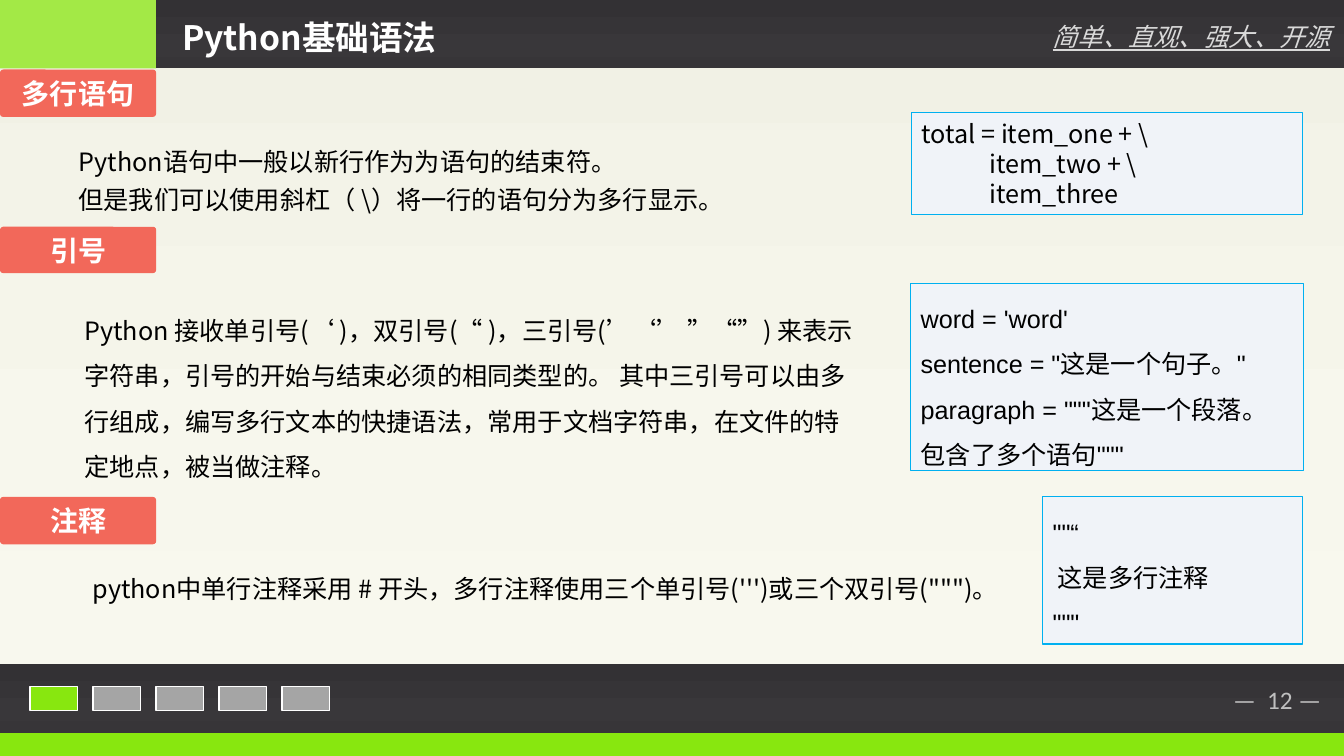
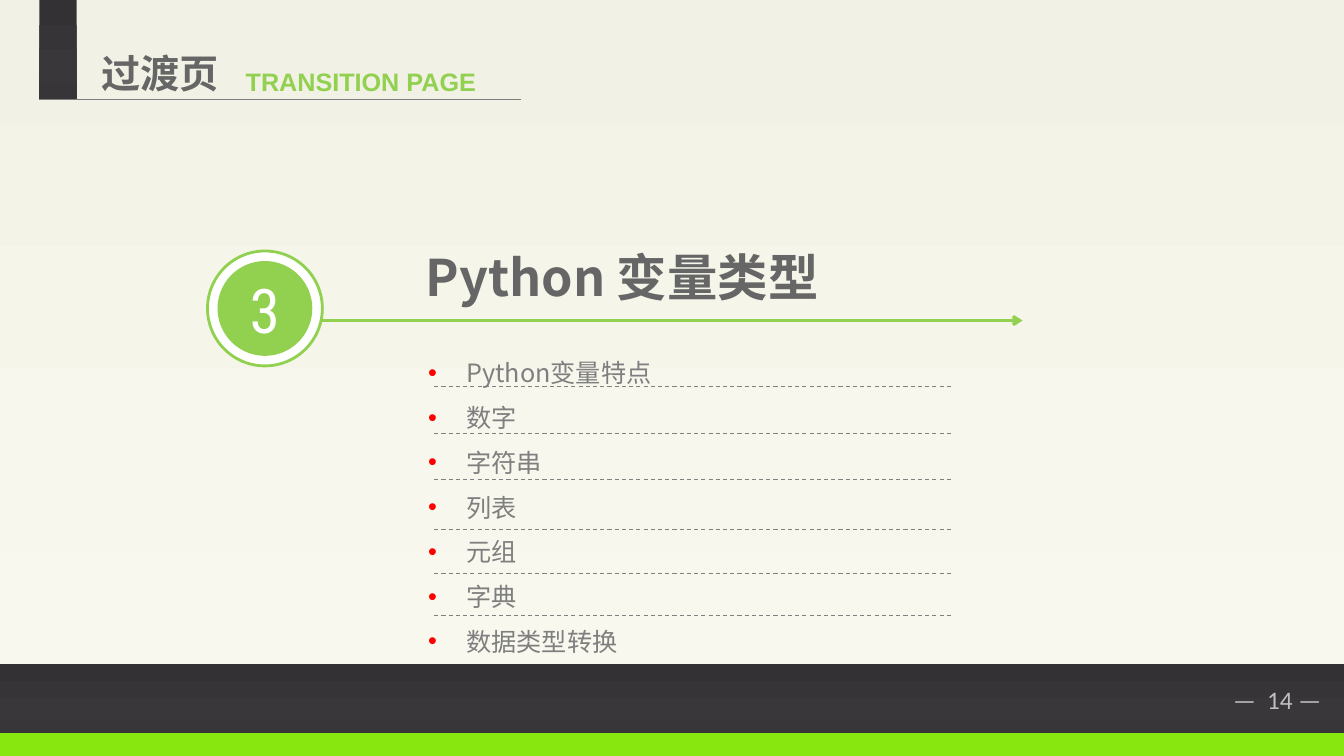
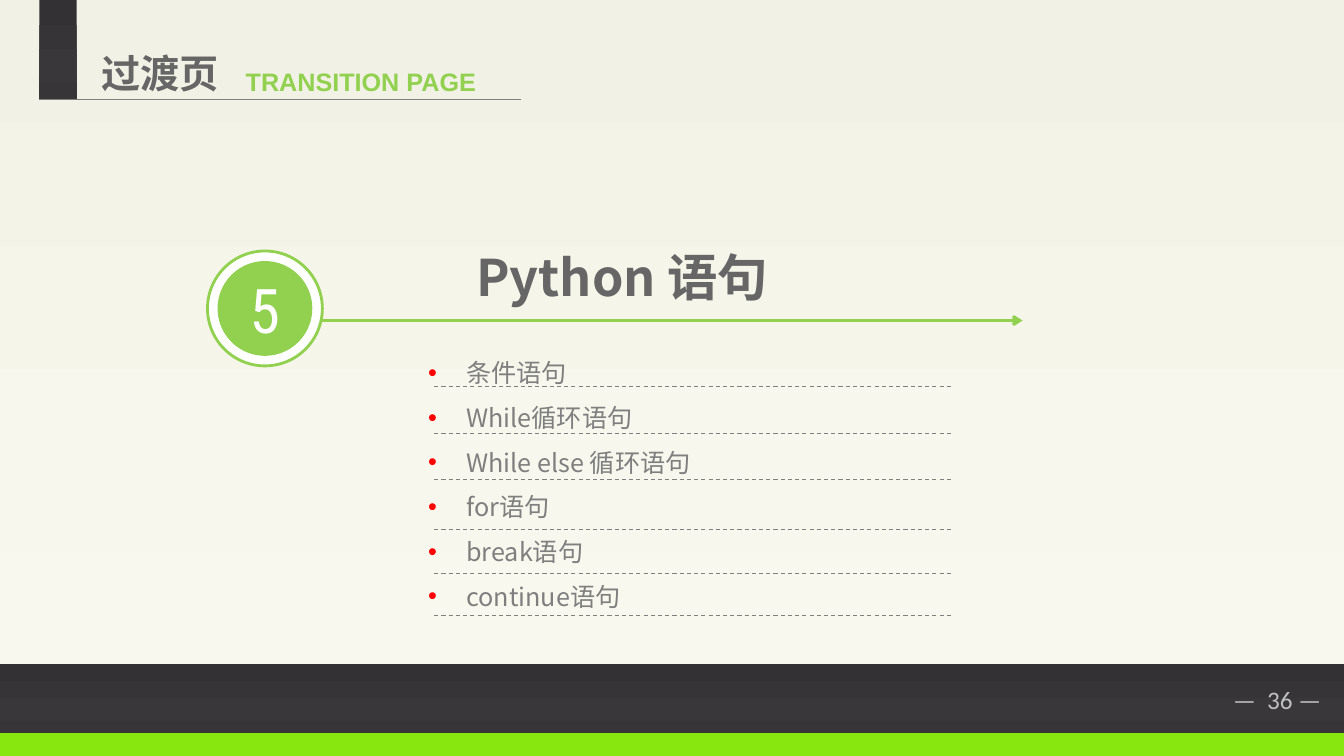
import copy
from dataclasses import dataclass

import pptx
import pptx.dml.color
import pptx.enum.dml
import pptx.enum.lang
import pptx.enum.shapes
import pptx.enum.text
import pptx.oxml
import pptx.oxml.ns
import pptx.util
from pptx.util import Inches

CJK = "Noto Sans CJK SC"
LIME, LEAF, CORAL = "88E70F", "92D050", "F2685A"
WHITE, BLACK, GREY = "FFFFFF", "000000", "666666"
CREAM = ((0, "F1F1E5"), (74, "F7F7ED"), (83, "F8F8EE"), (100, "F9F9EF"))
DARK = ((0, "333134"), (74, "39373A"), (83, "373538"), (100, "363436"))
WIDTH, HEIGHT = 13.34, 7.5
RECT = pptx.enum.shapes.MSO_SHAPE.RECTANGLE
OVAL = pptx.enum.shapes.MSO_SHAPE.OVAL
ROUNDED = pptx.enum.shapes.MSO_SHAPE.ROUNDED_RECTANGLE
LEFT, CENTER = pptx.enum.text.PP_ALIGN.LEFT, pptx.enum.text.PP_ALIGN.CENTER
TOP, MIDDLE = pptx.enum.text.MSO_ANCHOR.TOP, pptx.enum.text.MSO_ANCHOR.MIDDLE
RULE_HEIGHTS = (3.83, 4.3, 4.76, 5.25, 5.69, 6.11)


@dataclass(frozen=True)
class Box:
    left: float
    top: float
    width: float
    height: float


@dataclass(frozen=True)
class TextStyle:
    size: float = 18
    color: str = BLACK
    font: str = CJK
    bold: bool = False
    italic: bool = False
    underline: bool = False
    align: object = LEFT
    anchor: object = TOP
    spacing: float = 1.0
    before: float = 0
    inset: tuple = (0.1, 0.05)
    bullet: str = ""


@dataclass(frozen=True)
class Line:
    text: str
    indent: float = 0


@dataclass(frozen=True)
class Topic:
    label: str
    label_box: Box
    text_box: Box
    text: tuple
    text_style: TextStyle
    code_box: Box
    code: tuple
    code_style: TextStyle


@dataclass(frozen=True)
class Section:
    number: str
    title: str
    items: tuple
    list_height: float
    page_number: int


BODY = TextStyle()
SPACED = TextStyle(spacing=1.5)
CODE = TextStyle(font="Arial", spacing=1.5)
LABEL = TextStyle(20, WHITE, bold=True, align=CENTER, anchor=MIDDLE)
LIST = TextStyle(color="7F7F7F", spacing=1.2, before=6, bullet="FF0000")

TOPICS = (
    Topic("多行语句", Box(0, 0.69, 1.55, 0.47), Box(0.78, 1.34, 6.97, 0.9),
          (Line("Python语句中一般以新行作为为语句的结束符。"),
           Line("但是我们可以使用斜杠（ \\）将一行的语句分为多行显示。")),
          TextStyle(before=6, anchor=MIDDLE, inset=(0, 0.1)),
          Box(9.05, 1.12, 3.88, 1.01),
          (Line("total = item_one + \\"), Line("item_two + \\", 0.67),
           Line("item_three", 0.67)), BODY),
    Topic("引号", Box(0, 2.25, 1.55, 0.46), Box(0.74, 2.93, 7.86, 1.92),
          (Line("Python 接收单引号(‘ )，双引号(“ )，三引号(’‘’ ”“”) "
                "来表示字符串，引号的开始与结束必须的相同类型的。 "
                "其中三引号可以由多行组成，编写多行文本的快捷语法，"
                "常用于文档字符串，在文件的特定地点，被当做注释。"),), SPACED,
          Box(9.04, 2.81, 3.9, 1.86),
          (Line("word = 'word'"), Line('sentence = "这是一个句子。"'),
           Line('paragraph = """这是一个段落。 包含了多个语句"""')), CODE),
    Topic("注释", Box(0, 4.93, 1.55, 0.47), Box(0.82, 5.64, 9.31, 0.4),
          (Line("python中单行注释采用 # 开头，多行注释使用三个单引号"
                "(''')或三个双引号(\"\"\")。"),), BODY,
          Box(10.35, 4.93, 2.58, 1.46),
          (Line('""“'), Line("这是多行注释", 0.05), Line('"""')), CODE),
)

SECTIONS = (
    Section("3", "Python 变量类型",
            ("Python变量特点", "数字", "字符串", "列表", "元组", "字典", "数据类型转换"),
            3.15, 14),
    Section("5", "Python 语句",
            ("条件语句", "While循环语句", "While else 循环语句", "for语句",
             "break语句", "continue语句"), 2.7, 36),
)


def rgb(color: str) -> pptx.dml.color.RGBColor:
    return pptx.dml.color.RGBColor.from_string(color)


def set_all(target, values: dict) -> None:
    for name, value in values.items():
        setattr(target, name, value)


def xml(tag: str, **attributes):
    """Make an element of the drawing namespace."""
    element = pptx.oxml.parse_xml(f"<a:{tag} {pptx.oxml.ns.nsdecls('a')}/>")
    for name, value in attributes.items():
        element.set(name, value)
    return element


def place(box: Box) -> tuple:
    return tuple(Inches(n) for n in (box.left, box.top, box.width, box.height))


def add_bullet(para, color: str) -> None:
    properties = para._p.get_or_add_pPr()
    properties.set("marL", str(Inches(0.38)))
    properties.set("indent", str(-Inches(0.38)))
    tint = xml("buClr")
    tint.append(xml("srgbClr", val=color))
    properties.extend((tint, xml("buFont", typeface="Arial"), xml("buChar", char="•")))


def write(shape, lines: tuple, style: TextStyle) -> None:
    frame = shape.text_frame
    across, down = (Inches(n) for n in style.inset)
    set_all(frame, {"word_wrap": True, "vertical_anchor": style.anchor,
                    "margin_left": across, "margin_right": across,
                    "margin_top": down, "margin_bottom": down})
    for index, line in enumerate(lines):
        para = frame.add_paragraph() if index else frame.paragraphs[0]
        set_all(para, {"alignment": style.align, "line_spacing": style.spacing,
                       "space_before": pptx.util.Pt(style.before)})
        if style.bullet:
            add_bullet(para, style.bullet)
        elif line.indent:
            para._p.get_or_add_pPr().set("marL", str(Inches(line.indent)))
        span = para.add_run()
        span.text = line.text
        set_all(span.font, {
            "name": style.font, "size": pptx.util.Pt(style.size),
            "bold": style.bold, "italic": style.italic,
            "underline": style.underline,
            "language_id": pptx.enum.lang.MSO_LANGUAGE_ID.SIMPLIFIED_CHINESE})
        span.font.color.rgb = rgb(style.color)
        latin = span._r.get_or_add_rPr().find(pptx.oxml.ns.qn("a:latin"))
        latin.addnext(xml("ea", typeface=CJK))


def add_text(page, box: Box, text: str, style: TextStyle) -> None:
    write(page.shapes.add_textbox(*place(box)), (Line(text),), style)


def fill_gradient(shape, stops: tuple) -> None:
    """Fill from top to bottom with (percent, colour) stops."""
    shape.fill.gradient()
    shape.fill.gradient_angle = 270
    stop_list = shape._element.spPr.find(".//" + pptx.oxml.ns.qn("a:gsLst"))
    while len(stop_list) < len(stops):
        stop_list.append(copy.deepcopy(stop_list[0]))
    for stop, (percent, color) in zip(shape.fill.gradient_stops, stops):
        stop.position = percent / 100
        stop.color.rgb = rgb(color)


def add_shape(page, box: Box, fill, line: str = "", weight: float = 0.75, kind=RECT):
    """Add a shape filled with one colour or with gradient stops."""
    shape = page.shapes.add_shape(kind, *place(box))
    shape.shadow.inherit = False
    if isinstance(fill, str):
        shape.fill.solid()
        shape.fill.fore_color.rgb = rgb(fill)
    else:
        fill_gradient(shape, fill)
    if line:
        shape.line.color.rgb = rgb(line)
        shape.line.width = pptx.util.Pt(weight)
    else:
        shape.line.fill.background()
    return shape


def add_rule(page, left: float, right: float, top: float, color: str,
             weight: float = 0.75, dashed: bool = False, arrow: bool = False) -> None:
    rule = page.shapes.add_connector(
        pptx.enum.shapes.MSO_CONNECTOR.STRAIGHT,
        Inches(left), Inches(top), Inches(right), Inches(top))
    rule.line.color.rgb = rgb(color)
    rule.line.width = pptx.util.Pt(weight)
    if dashed:
        rule.line.dash_style = pptx.enum.dml.MSO_LINE.DASH
    if arrow:
        rule.line._get_or_add_ln().append(xml("tailEnd", type="arrow"))
    rule._element.spPr.append(xml("effectLst"))


def add_page(deck, number: int):
    """Add a slide with the shared background, footer and page number."""
    page = deck.slides.add_slide(deck.slide_layouts[6])
    add_shape(page, Box(0, 0, WIDTH, 6.59), CREAM)
    add_shape(page, Box(0, 7.26, WIDTH, 0.24), LIME)
    add_shape(page, Box(0, 6.59, WIDTH, 0.68), DARK)
    add_text(page, Box(12.14, 6.74, 1.19, 0.4), f"—  {number} —",
             TextStyle(color="BFBFBF", font="Calibri"))
    return page


def add_topic(page, topic: Topic) -> None:
    label = add_shape(page, topic.label_box, CORAL, kind=ROUNDED)
    label.adjustments[0] = 0.07
    write(label, (Line(topic.label),), LABEL)
    write(page.shapes.add_textbox(*place(topic.text_box)), topic.text, topic.text_style)
    code = add_shape(page, topic.code_box, "F0F3F8", "00B0F0")
    write(code, topic.code, topic.code_style)


def add_syntax_page(deck) -> None:
    page = add_page(deck, 12)
    corner = add_shape(page, Box(0, 0, 1.55, 0.68), LIME)
    corner_color = corner._element.spPr.find(".//" + pptx.oxml.ns.qn("a:srgbClr"))
    corner_color.append(xml("alpha", val="74000"))
    add_shape(page, Box(1.55, 0, 11.79, 0.68), DARK)
    for index in range(5):
        add_shape(page, Box(0.3 + index * 2.5 / 4, 6.81, 0.47, 0.24),
                  "A5A5A5" if index else LIME, WHITE, 1.2)
    add_text(page, Box(10.35, 0.16, 2.95, 0.4), "简单、直观、强大、开源",
             TextStyle(color="D9D9D9", italic=True, underline=True))
    add_text(page, Box(1.71, 0.12, 6.38, 0.5), "Python基础语法",
             TextStyle(24, WHITE, bold=True))
    for topic in TOPICS:
        add_topic(page, topic)


def add_section_page(deck, section: Section) -> None:
    page = add_page(deck, section.page_number)
    add_shape(page, Box(0.39, 0, 0.37, 0.99), DARK)
    add_text(page, Box(0.91, 0.44, 1.59, 0.57), "过渡页", TextStyle(28, GREY, bold=True))
    add_text(page, Box(2.34, 0.61, 2.68, 0.4), "TRANSITION PAGE",
             TextStyle(color=LEAF, font="Arial", bold=True))
    add_rule(page, 0.39, 5.17, 0.99, "7F7F7F")
    add_shape(page, Box(2.06, 2.49, 1.14, 1.14), WHITE, LEAF, 2, OVAL)
    badge = add_shape(page, Box(2.16, 2.59, 0.94, 0.94), LEAF, kind=OVAL)
    write(badge, (Line(section.number),),
          TextStyle(44, WHITE, "Roboto Condensed", align=CENTER, anchor=MIDDLE))
    add_rule(page, 3.2, 10.15, 3.18, LEAF, 2.25, arrow=True)
    add_text(page, Box(3.32, 2.39, 5.71, 0.71), section.title,
             TextStyle(36, GREY, bold=True, align=CENTER))
    items = page.shapes.add_textbox(*place(Box(4.15, 3.44, 5.29, section.list_height)))
    write(items, tuple(Line(item) for item in section.items), LIST)
    for top in RULE_HEIGHTS:
        add_rule(page, 4.31, 9.44, top, "808080", dashed=True)


def main() -> None:
    deck = pptx.Presentation()
    deck.slide_width, deck.slide_height = Inches(WIDTH), Inches(HEIGHT)
    add_syntax_page(deck)
    for section in SECTIONS:
        add_section_page(deck, section)
    deck.save("out.pptx")


if __name__ == "__main__":
    main()
